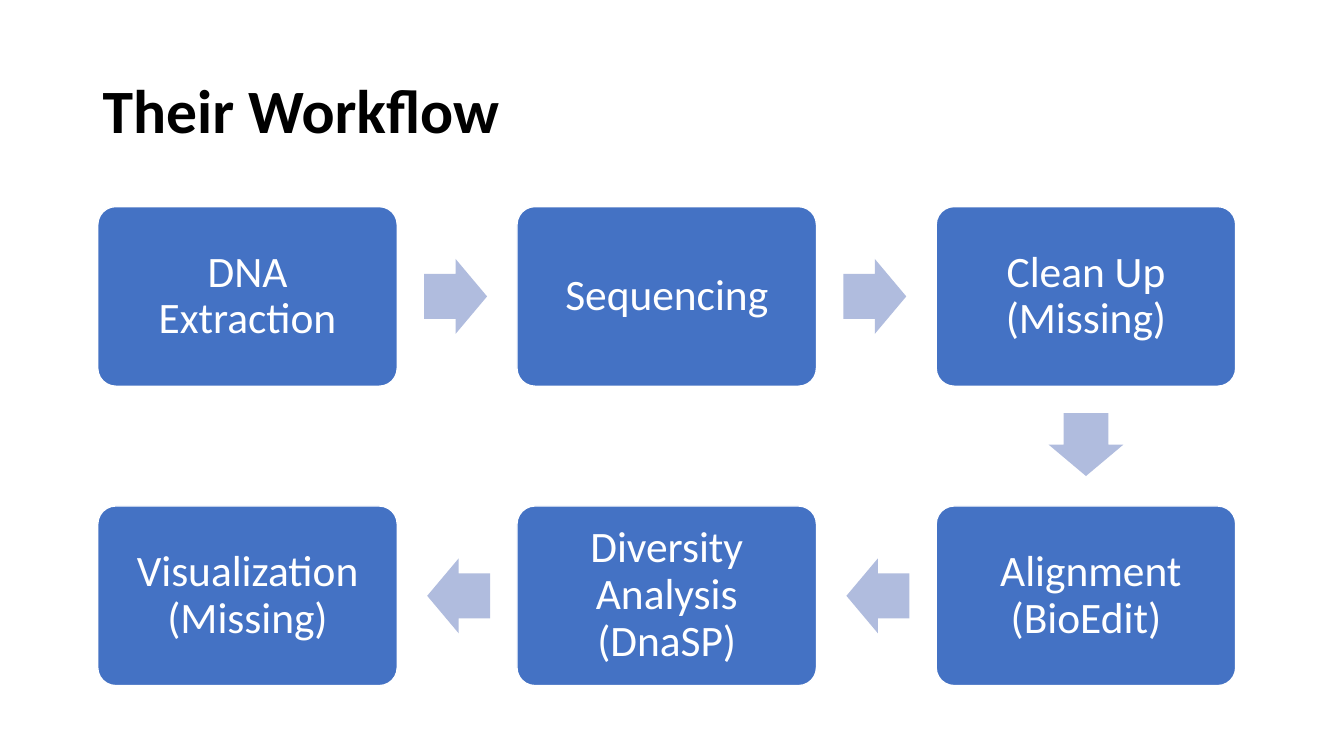
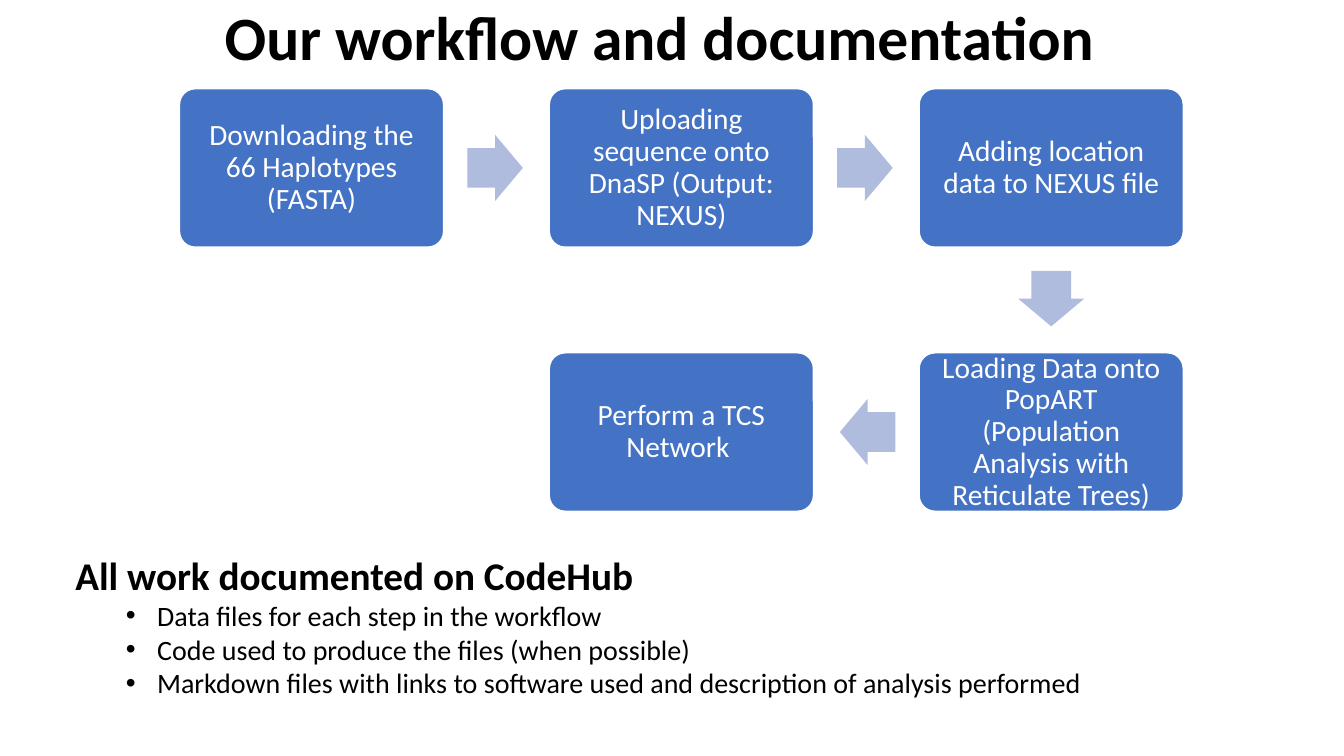
from lxml.etree import SubElement
from pptx import Presentation
from pptx.dml.color import RGBColor
from pptx.enum.shapes import MSO_SHAPE
from pptx.enum.text import MSO_ANCHOR, PP_ALIGN
from pptx.oxml.ns import qn
from pptx.util import Pt

PX = 9144  # 100 px to the inch
SLIDE_SIZE = (1333, 750)
BLACK, WHITE, STEP_BLUE, ARROW_BLUE = "000000", "FFFFFF", "4472C4", "B0BCDE"
BASE_FONT = {"name": "Calibri"}
TITLE_FONT = {"size": Pt(44), "bold": True}
HEADING_FONT = {"size": Pt(28), "bold": True}
POINT_FONT = {"size": Pt(20), "bold": False}


def px(*lengths):
    return [round(length * PX) for length in lengths]


def color(hex_string):
    return RGBColor.from_string(hex_string)


def format_font(font, formats, hex_string):
    for attribute, value in {**BASE_FONT, **formats}.items():
        setattr(font, attribute, value)
    font.color.rgb = color(hex_string)


def add_filled_shape(slide, preset, box, fill, adjustments):
    shape = slide.shapes.add_shape(preset, *px(*box))
    shape.shadow.inherit = False
    shape.fill.solid()
    shape.fill.fore_color.rgb = color(fill)
    shape.line.fill.background()
    for index, adjustment in enumerate(adjustments):
        shape.adjustments[index] = adjustment
    return shape


def add_title(slide, box, text, alignment):
    frame = slide.shapes.add_textbox(*px(*box)).text_frame
    frame.word_wrap = True
    frame.vertical_anchor = MSO_ANCHOR.MIDDLE
    title = frame.paragraphs[0]
    title.text = text
    title.alignment = alignment
    title.line_spacing = 0.9
    format_font(title.font, TITLE_FONT, BLACK)


def add_step(slide, box, text, size):
    step = add_filled_shape(slide, MSO_SHAPE.ROUNDED_RECTANGLE, box, STEP_BLUE, [0.1])
    step.line.color.rgb = color(WHITE)
    step.line.width = Pt(1)
    frame = step.text_frame
    frame.word_wrap = True
    frame.vertical_anchor = MSO_ANCHOR.MIDDLE
    inset = px(round(0.42 * size))[0]
    for side in ("left", "top", "right", "bottom"):
        setattr(frame, f"margin_{side}", inset)
    label = frame.paragraphs[0]
    label.text = text
    label.alignment = PP_ALIGN.CENTER
    label.line_spacing = 0.9
    format_font(label.font, {"size": Pt(size)}, WHITE)


def add_workflow(slide, left, top, step_width, steps, size, columns=3):
    """Lay the steps out in rows that snake, with an arrow from each step to the next."""
    step_height = 0.6 * step_width
    column_pitch, row_pitch = 1.4 * step_width, step_width
    arrow_length, arrow_breadth = 0.21 * step_width, 0.25 * step_width
    # From the edge of a step to the middle of the arrow that leaves it
    reach = 0.09 * step_width + arrow_length / 2

    for index, text in enumerate(steps):
        row, place = divmod(index, columns)
        leftward = row % 2 == 1
        column = columns - 1 - place if leftward else place
        x, y = left + column * column_pitch, top + row * row_pitch
        add_step(slide, (x, y, step_width, step_height), text, size)
        if index == len(steps) - 1:
            break

        center_x, center_y = x + step_width / 2, y + step_height / 2
        if place == columns - 1:
            rotation = 90
            center_y += step_height / 2 + reach
        else:
            rotation = 180 if leftward else 0
            center_x += (step_width / 2 + reach) * (-1 if leftward else 1)
        arrow_box = (center_x - arrow_length / 2, center_y - arrow_breadth / 2,
                     arrow_length, arrow_breadth)
        arrow = add_filled_shape(slide, MSO_SHAPE.RIGHT_ARROW, arrow_box,
                                 ARROW_BLUE, [0.6, 0.5])
        arrow.rotation = rotation


def add_bullet(paragraph, left, hanging):
    properties = paragraph._p.get_or_add_pPr()
    properties.set("marL", str(px(left)[0]))
    properties.set("indent", str(px(-hanging)[0]))
    SubElement(properties, qn("a:buFont"), typeface="Arial")
    SubElement(properties, qn("a:buChar"), char="•")


def add_documentation(slide, box, heading_text, points):
    frame = slide.shapes.add_textbox(*px(*box)).text_frame
    frame.word_wrap = True
    heading = frame.paragraphs[0]
    heading.text = heading_text
    format_font(heading.font, HEADING_FONT, BLACK)
    for text in points:
        point = frame.add_paragraph()
        point.text = text
        point.level = 1
        add_bullet(point, 81, 31)
        format_font(point.font, POINT_FONT, BLACK)


def build_their_workflow(slide):
    add_title(slide, (92, 40, 1150, 145), "Their Workflow ", PP_ALIGN.LEFT)
    add_workflow(slide, 97, 205, 297, [
        "DNA Extraction",
        " Sequencing ",
        "Clean Up (Missing)",
        " Alignment (BioEdit)",
        "Diversity Analysis (DnaSP)",
        "Visualization (Missing)",
    ], 31)


def build_our_workflow(slide):
    add_title(slide, (206, 0, 897, 81), "Our workflow and documentation", PP_ALIGN.CENTER)
    add_workflow(slide, 178, 88, 262, [
        "Downloading the 66 Haplotypes (FASTA)",
        "Uploading sequence onto DnaSP (Output: NEXUS)",
        "Adding location data to NEXUS file",
        "Loading Data onto PopART (Population Analysis with Reticulate Trees)",
        "Perform a TCS Network ",
    ], 21)
    add_documentation(slide, (65, 542, 1073, 158), "All work documented on CodeHub", [
        "Data files for each step in the workflow",
        "Code used to produce the files (when possible)",
        "Markdown files with links to software used and description of analysis performed",
    ])


def main():
    presentation = Presentation()
    presentation.slide_width, presentation.slide_height = px(*SLIDE_SIZE)
    blank = presentation.slide_layouts[6]
    for build in (build_their_workflow, build_our_workflow):
        build(presentation.slides.add_slide(blank))
    presentation.save("out.pptx")


if __name__ == "__main__":
    main()
